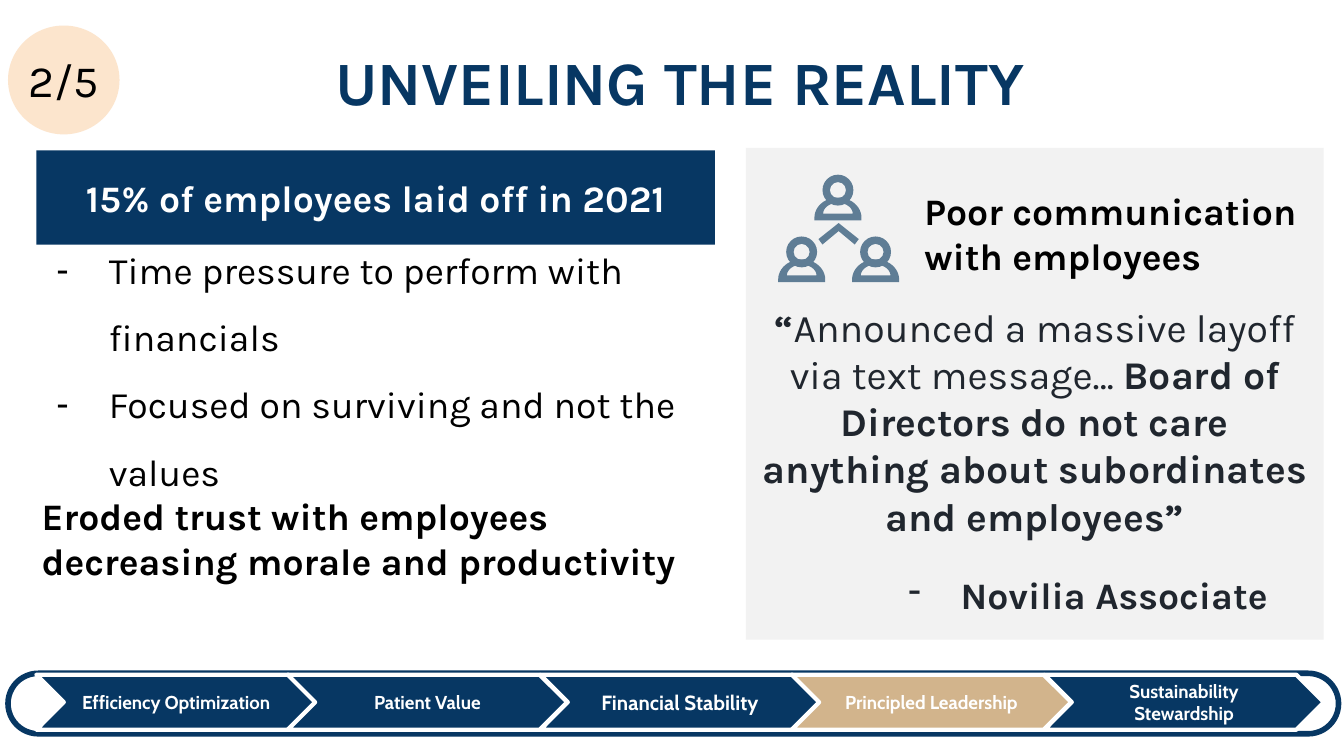
from dataclasses import dataclass
from math import cos, pi, sin

from lxml.etree import SubElement
from pptx import Presentation
from pptx.dml.color import RGBColor
from pptx.enum.shapes import MSO_SHAPE as Shape
from pptx.enum.text import MSO_ANCHOR as Anchor, MSO_AUTO_SIZE as AutoSize, PP_ALIGN as Align
from pptx.oxml.ns import qn
from pptx.util import Pt

PX = 9144
NAVY, TAN, SLATE, INK = "073763", "D2B48C", "5F7D95", "20262E"
WHITE, BLACK, GREY, PEACH = "FFFFFF", "000000", "F2F2F2", "FCE5CD"


@dataclass
class Box:
    x: int
    y: int
    w: int
    h: int

    def emu(self) -> list[int]:
        return [v * PX for v in (self.x, self.y, self.w, self.h)]


@dataclass
class Step:
    label: str
    size: int = 10
    fill: str = NAVY


STEPS = [
    Step("Efficiency Optimization"),
    Step("Patient Value"),
    Step("Financial Stability", size=11),
    Step("Principled Leadership", fill=TAN),
    Step("Sustainability Stewardship"),
]
PEOPLE = [(606, 130), (579, 176), (634, 176)]


def rgb(code: str) -> RGBColor:
    return RGBColor.from_string(code)


def style(sp, fill: str, line: str = "", width: float = 0):
    sp.shadow.inherit = False
    sp.fill.solid()
    sp.fill.fore_color.rgb = rgb(fill)
    if line:
        sp.line.color.rgb = rgb(line)
        sp.line.width = Pt(width)
    else:
        sp.line.fill.background()
    return sp


def add_box(s, kind, box: Box, fill: str, line: str = "", width: float = 0):
    return style(s.shapes.add_shape(kind, *box.emu()), fill, line, width)


def frame(sp, anchor=Anchor.TOP, pad=(10, 10, 10, 10), wrap: bool = True):
    tf = sp.text_frame
    tf.auto_size = AutoSize.NONE
    tf.word_wrap = wrap
    tf.vertical_anchor = anchor
    tf.margin_left, tf.margin_top, tf.margin_right, tf.margin_bottom = (v * PX for v in pad)
    return tf


def write(p, text: str, *, size: int, color: str, bold: bool = False,
          font: str = "Karla", align=Align.LEFT, spacing: float = 1.0, before: int = 0):
    p.alignment = align
    p.line_spacing = spacing
    p.space_before = Pt(before)
    r = p.add_run()
    r.text = text
    r.font.name = font
    r.font.size = Pt(size)
    r.font.bold = bold
    r.font.color.rgb = rgb(color)


def set_bullet(p, color: str, left: int):
    pPr = p._p.get_or_add_pPr()
    pPr.set("marL", str(left * PX))
    pPr.set("indent", str(-39 * PX))
    SubElement(SubElement(pPr, qn("a:buClr")), qn("a:srgbClr"), val=color)
    SubElement(pPr, qn("a:buChar"), char="-")


def clear_bullet(p):
    pPr = p._p.get_or_add_pPr()
    pPr.set("marL", "0")
    pPr.set("indent", "0")
    SubElement(pPr, qn("a:buNone"))


def dome(cx: float, base: float, rx: float, ry: float, foot: float) -> list[tuple[float, float]]:
    arc = [(cx - rx * cos(pi * i / 24), base - ry * sin(pi * i / 24)) for i in range(25)]
    return [(cx - rx, foot), *arc, (cx + rx, foot)]


def draw_outline(s, contours: list, fill: str):
    scaled = [[(x * PX, y * PX) for x, y in c] for c in contours]
    fb = s.shapes.build_freeform(*scaled[0][0], scale=1.0)
    fb.add_line_segments(scaled[0][1:], close=True)
    for c in scaled[1:]:
        fb.move_to(*c[0])
        fb.add_line_segments(c[1:], close=True)
    return style(fb.convert_to_shape(), fill)


def draw_person(s, x: int, y: int):
    cx = x + 17.5
    draw_outline(s, [dome(cx, y + 32, 17.5, 15, y + 34), dome(cx, y + 29, 11, 8, y + 29)], SLATE)
    head = add_box(s, Shape.DONUT, Box(x + 6, y, 23, 23), SLATE)
    head.adjustments[0] = 0.24


def draw_steps(s):
    track = add_box(s, Shape.ROUNDED_RECTANGLE, Box(6, 501, 990, 45), WHITE, NAVY, 3)
    track.adjustments[0] = 0.5
    for i, step in enumerate(STEPS):
        box = Box(27 + i * 375 // 2, 502, 208, 41)
        sp = add_box(s, Shape.CHEVRON, box, step.fill, WHITE, 2.25)
        write(frame(sp, Anchor.MIDDLE).paragraphs[0], step.label, size=step.size,
              color=WHITE, bold=True, font="Cabin", align=Align.CENTER)


def place(sp, box: Box):
    sp.left, sp.top, sp.width, sp.height = box.emu()


def draw_title(s):
    sp = s.shapes.title
    place(sp, Box(193, 14, 626, 59))
    write(frame(sp, pad=(4, 2, 4, 2)).paragraphs[0], "UNVEILING THE REALITY", size=33,
          color=NAVY, bold=True, align=Align.CENTER, spacing=1.3)


def draw_findings(s):
    sp = add_box(s, Shape.RECTANGLE, Box(27, 112, 505, 70), NAVY)
    write(frame(sp, Anchor.MIDDLE).paragraphs[0], "15% of employees laid off in 2021",
          size=20, color=WHITE, bold=True, align=Align.CENTER)

    body = s.placeholders[1]
    place(body, Box(27, 178, 494, 307))
    tf = frame(body, Anchor.BOTTOM, pad=(4, 2, 4, 51))
    p = tf.paragraphs[0]
    for text in ("Time pressure to perform with financials",
                 "Focused on surviving and not the values"):
        set_bullet(p, BLACK, 50)
        write(p, text, size=20, color=BLACK, spacing=1.5)
        p = tf.add_paragraph()
    clear_bullet(p)
    write(p, "Eroded trust with employees decreasing morale and productivity",
          size=20, color=BLACK, bold=True)


def draw_quote(s):
    panel = add_box(s, Shape.RECTANGLE, Box(555, 110, 430, 366), GREY)
    tf = frame(panel, pad=(10, 116, 10, 10))
    p = tf.paragraphs[0]
    for text, bold in (
        ("“", True),
        ("Announced a massive layoff via text message… ", False),
        ("Board of Directors do not care anything about subordinates and employees”", True),
    ):
        write(p, text, size=21, color=INK, bold=bold, align=Align.CENTER)
    p = tf.add_paragraph()
    set_bullet(p, INK, 150)
    write(p, "Novilia Associate", size=20, color=INK, bold=True, before=18)

    for x, y in PEOPLE:
        draw_person(s, x, y)
    roof = [(624, 166), (639, 178), (636, 182), (624, 172), (612, 182), (609, 178)]
    draw_outline(s, [roof], SLATE)

    label = s.shapes.add_textbox(*Box(678, 130, 314, 66).emu())
    write(frame(label).paragraphs[0], "Poor communication with employees",
          size=20, color=BLACK, bold=True)


def draw_counter(s):
    sp = add_box(s, Shape.OVAL, Box(6, 19, 83, 81), PEACH)
    write(frame(sp, Anchor.MIDDLE, pad=(0, 0, 0, 0), wrap=False).paragraphs[0], "2/5",
          size=24, color=BLACK, align=Align.CENTER)


def main():
    prs = Presentation()
    prs.slide_width = 1000 * PX
    prs.slide_height = prs.slide_width * 9 // 16
    s = prs.slides.add_slide(prs.slide_layouts[1])
    draw_title(s)
    draw_findings(s)
    draw_quote(s)
    draw_steps(s)
    draw_counter(s)
    prs.save("out.pptx")


if __name__ == "__main__":
    main()
